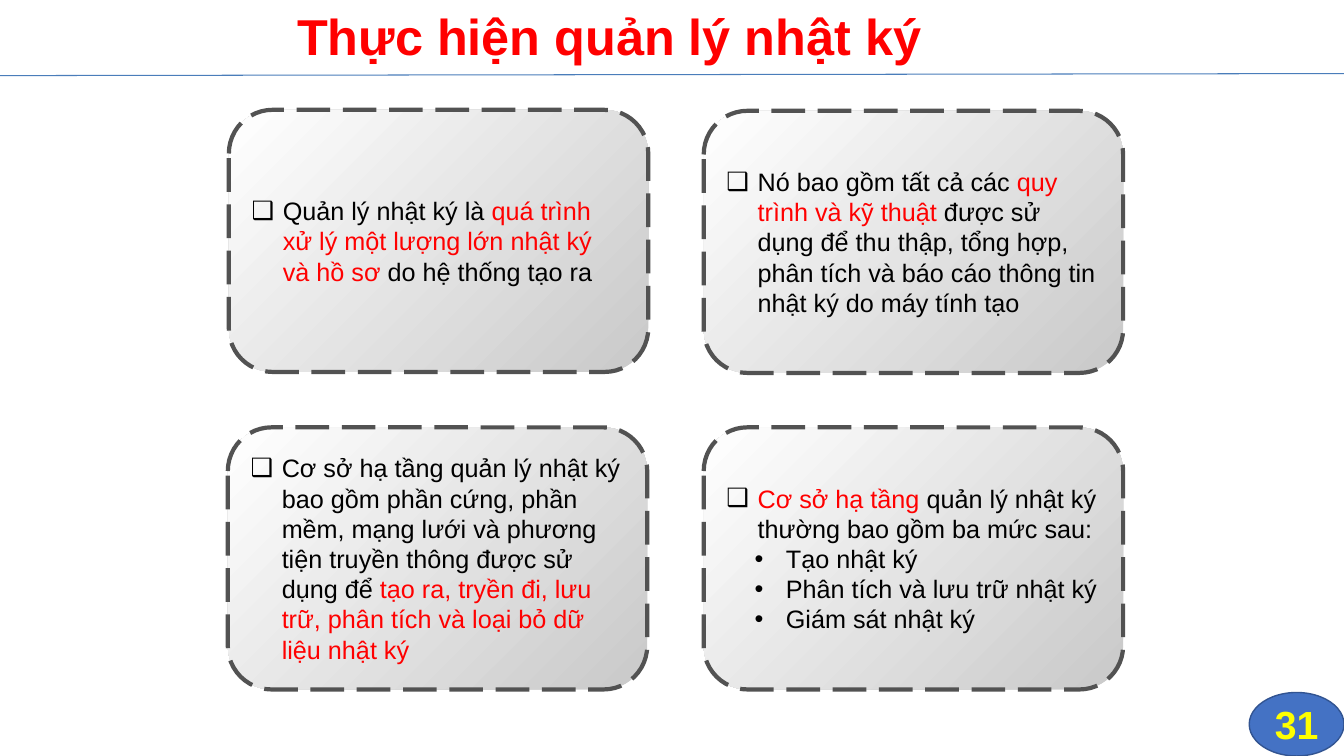
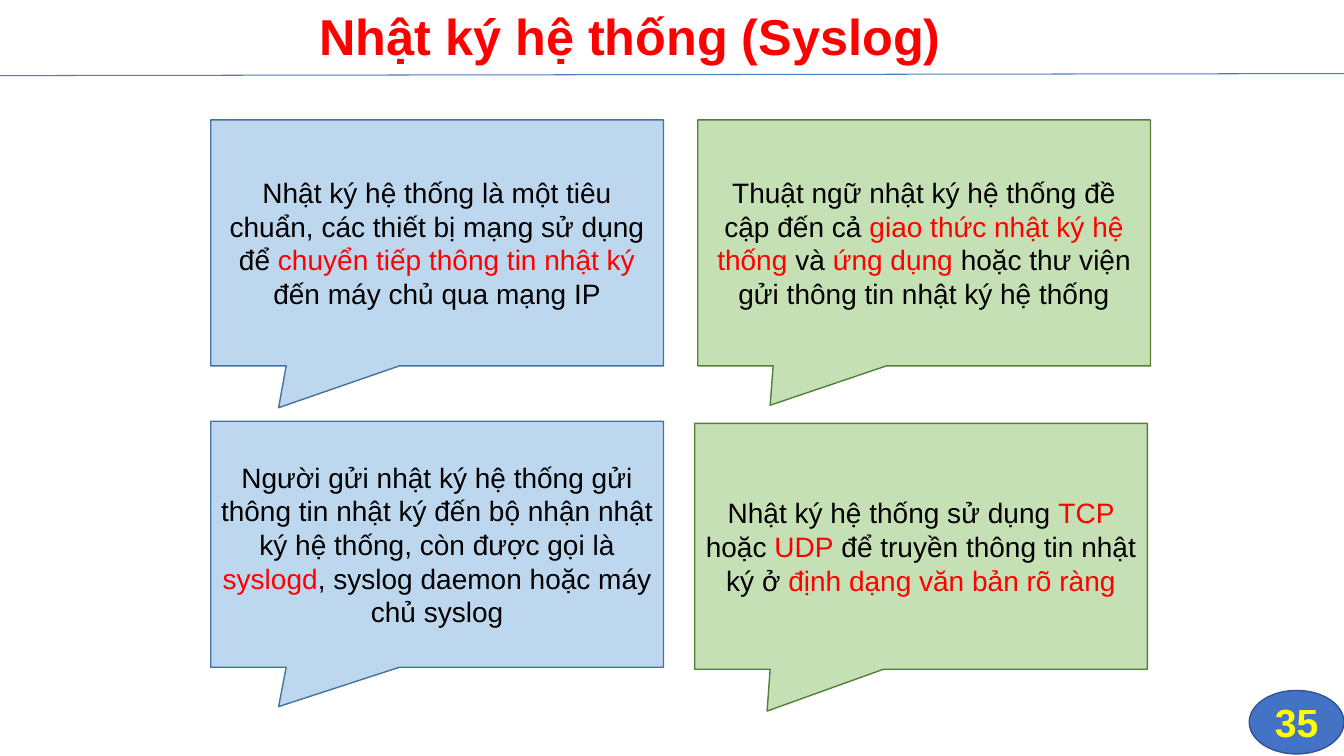
from lxml import etree
from pptx import Presentation
from pptx.dml.color import RGBColor
from pptx.enum.dml import MSO_LINE
from pptx.enum.shapes import MSO_CONNECTOR, MSO_SHAPE
from pptx.enum.text import MSO_ANCHOR, PP_ALIGN
from pptx.oxml.ns import qn
from pptx.util import Pt

PX = 9144
FONT = "Arial"
LEFT, CENTER = PP_ALIGN.LEFT, PP_ALIGN.CENTER
MIDDLE = MSO_ANCHOR.MIDDLE
ROUNDED, CALLOUT, OVAL = MSO_SHAPE.ROUNDED_RECTANGLE, MSO_SHAPE.RECTANGULAR_CALLOUT, MSO_SHAPE.OVAL
STRAIGHT, LONG_DASH = MSO_CONNECTOR.STRAIGHT, MSO_LINE.LONG_DASH

HEX = {
    "text": "000000", "accent": "FF0000", "rule": "4A7DBA",
    "badge": "4472C4", "badge_line": "325491", "number": "FFFF00",
    "card_dark": "C9C9C9", "card_light": "FFFFFF", "card_line": "525252",
    "blue": "BDD7EE", "blue_line": "43739E",
    "green": "C5E0B4", "green_line": "538035",
}
COLORS = {name: RGBColor.from_string(value) for name, value in HEX.items()}


def add_box(page, kind, bounds, line_color, line_width, fill_color=None):
    box = page.shapes.add_shape(kind, *[value * PX for value in bounds])
    box.shadow.inherit = False
    box.line.color.rgb = COLORS[line_color]
    box.line.width = Pt(line_width)
    if fill_color:
        box.fill.solid()
        box.fill.fore_color.rgb = COLORS[fill_color]
    box.text_frame.word_wrap = True
    box.text_frame.vertical_anchor = MIDDLE
    return box


def write(para, marked_text, size, align, colors=("text", "accent"), bold=False):
    para.alignment = align
    for index, part in enumerate(marked_text.split("|")):
        if part:
            span = para.add_run()
            span.text = part
            span.font.name = FONT
            span.font.size = Pt(size)
            span.font.bold = bold
            span.font.color.rgb = COLORS[colors[index % 2]]


deck = Presentation()
deck.slide_width, deck.slide_height = 1333 * PX, 750 * PX

pages = []
for title, title_left, number, badge_top in [
    ("Thực hiện quản lý nhật ký", 285, "31", 687),
    ("Nhật ký hệ thống (Syslog)", 307, "35", 685),
]:
    page = deck.slides.add_slide(deck.slide_layouts[6])
    pages.append(page)

    title_box = page.shapes.add_textbox(title_left * PX, 0, 900 * PX, 77 * PX)
    title_box.text_frame.word_wrap = True
    title_box.text_frame.vertical_anchor = MIDDLE
    title_para = title_box.text_frame.paragraphs[0]
    title_para.line_spacing = 0.9
    write(title_para, title, 36, LEFT, ("accent",) * 2, True)

    rule = page.shapes.add_connector(STRAIGHT, 0, 75 * PX, 1333 * PX, 73 * PX)
    rule.line.color.rgb = COLORS["rule"]
    rule.line.width = Pt(0.75)
    etree.SubElement(rule.element.spPr, qn("a:effectLst"))

    badge = add_box(page, OVAL, (1239, badge_top, 94, 63), "badge_line", 1, "badge")
    write(badge.text_frame.paragraphs[0], number, 28, CENTER, ("number",) * 2, True)

management_page, syslog_page = pages

cards = [
    (227, 109, ["Quản lý nhật ký là |quá trình xử lý một lượng lớn nhật ký và hồ sơ| do hệ thống tạo ra"]),
    (698, 110, ["Nó bao gồm tất cả các |quy trình và kỹ thuật |được sử dụng để thu thập, "
                "tổng hợp, phân tích và báo cáo thông tin nhật ký do máy tính tạo"]),
    (226, 424, ["Cơ sở hạ tầng quản lý nhật ký bao gồm phần cứng, phần mềm, mạng lưới và "
                "phương tiện truyền thông được sử dụng để |tạo ra, tryền đi, lưu trữ, "
                "phân tích và loại bỏ dữ liệu nhật ký"]),
    (698, 424, ["|Cơ sở hạ tầng |quản lý nhật ký thường bao gồm ba mức sau:",
                "Tạo nhật ký", "Phân tích và lưu trữ nhật ký", "Giám sát nhật ký"]),
]
for left, top, lines in cards:
    card = add_box(management_page, ROUNDED, (left, top, 416, 260), "card_line", 3)
    card.line.dash_style = LONG_DASH
    card.fill.gradient()
    card.fill.gradient_angle = 135
    for stop, color in zip(card.fill.gradient_stops, ("card_dark", "card_light")):
        stop.color.rgb = COLORS[color]
    for level, line in enumerate(lines):
        para = card.text_frame.add_paragraph() if level else card.text_frame.paragraphs[0]
        margin, bullet = (59, "•") if level else (31, "❑")
        properties = para._p.get_or_add_pPr()
        properties.set("marL", str(margin * PX))
        properties.set("indent", str(-31 * PX))
        bullet_color = etree.SubElement(properties, qn("a:buClr"))
        etree.SubElement(bullet_color, qn("a:srgbClr"), val=HEX["text"])
        etree.SubElement(properties, qn("a:buFont"), typeface=FONT)
        etree.SubElement(properties, qn("a:buChar"), char=bullet)
        write(para, line, 18, LEFT)

callouts = [
    (209, 119, "blue", (-0.35, 0.67),
     "Nhật ký hệ thống là một tiêu chuẩn, các thiết bị mạng sử dụng để "
     "|chuyển tiếp thông tin nhật ký |đến máy chủ qua mạng IP"),
    (692, 119, "green", (-0.34, 0.66),
     "Thuật ngữ nhật ký hệ thống đề cập đến cả |giao thức nhật ký hệ thống |và "
     "|ứng dụng |hoặc thư viện gửi thông tin nhật ký hệ thống"),
    (209, 418, "blue", (-0.35, 0.66),
     "Người gửi nhật ký hệ thống gửi thông tin nhật ký đến bộ nhận nhật ký hệ thống, "
     "còn được gọi là |syslogd|, syslog daemon hoặc máy chủ syslog"),
    (689, 420, "green", (-0.34, 0.67),
     "Nhật ký hệ thống sử dụng |TCP| hoặc |UDP| để truyền thông tin nhật ký ở "
     "|định dạng văn bản rõ ràng"),
]
for left, top, color, pointer, text in callouts:
    callout = add_box(syslog_page, CALLOUT, (left, top, 449, 244), f"{color}_line", 1, color)
    callout.adjustments[0], callout.adjustments[1] = pointer
    write(callout.text_frame.paragraphs[0], text, 20, CENTER)

deck.save("out.pptx")
